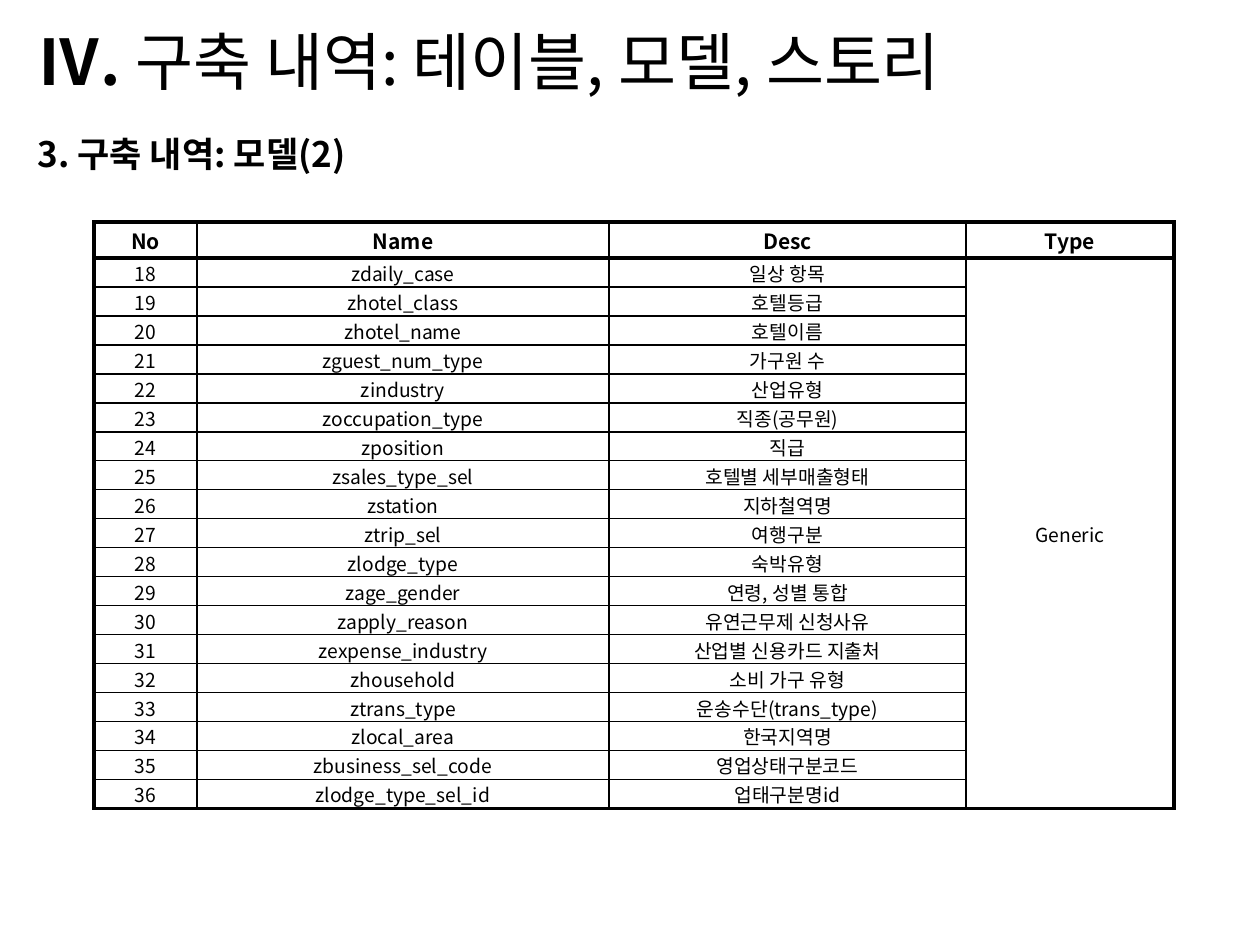
"""Build the model list slide with its title, heading and bordered table."""
from lxml.etree import SubElement as Sub
from pptx import Presentation
from pptx.dml.color import RGBColor
from pptx.enum.text import MSO_ANCHOR as Anchor, MSO_AUTO_SIZE as Fit, PP_ALIGN as Align
from pptx.oxml.ns import qn
from pptx.util import Pt

PX = 914400 / 126
FACE = "Noto Sans CJK KR"
INK = "000000"
THIN, THICK = 1, 2.25


def px(*nums):
    return [round(n * PX) for n in nums]


def write(para, text, size, bold):
    run = para.add_run()
    run.text = text
    look = {"size": Pt(size), "bold": bold, "name": FACE}
    for key, val in look.items():
        setattr(run.font, key, val)
    run.font.color.rgb = RGBColor.from_string(INK)
    Sub(run.font._element, qn("a:ea"), typeface=FACE)


deck = Presentation()
deck.slide_width, deck.slide_height = px(1260, 945)
slide = deck.slides.add_slide(deck.slide_layouts[5])

title = slide.shapes.title
title.left, title.top, title.width, title.height = px(25, 16, 1101, 89)
head = slide.shapes.add_textbox(*px(25, 126, 625, 55))
for box in (title, head):
    frame = box.text_frame
    form = {"word_wrap": True, "auto_size": Fit.NONE, "vertical_anchor": Anchor.TOP}
    for key, val in form.items():
        setattr(frame, key, val)
    frame.paragraphs[0].alignment = Align.LEFT
write(title.text_frame.paragraphs[0], "Ⅳ. ", 36, True)
write(title.text_frame.paragraphs[0], "구축 내역: 테이블, 모델, 스토리", 36, False)
write(head.text_frame.paragraphs[0], "3. 구축 내역: 모델(2)", 20, True)

models = [
    ("zdaily_case", "일상 항목"),
    ("zhotel_class", "호텔등급"),
    ("zhotel_name", "호텔이름"),
    ("zguest_num_type", "가구원 수"),
    ("zindustry", "산업유형"),
    ("zoccupation_type", "직종(공무원)"),
    ("zposition", "직급"),
    ("zsales_type_sel", "호텔별 세부매출형태"),
    ("zstation", "지하철역명"),
    ("ztrip_sel", "여행구분"),
    ("zlodge_type", "숙박유형"),
    ("zage_gender", "연령, 성별 통합"),
    ("zapply_reason", "유연근무제 신청사유"),
    ("zexpense_industry", "산업별 신용카드 지출처"),
    ("zhousehold", "소비 가구 유형"),
    ("ztrans_type", "운송수단(trans_type)"),
    ("zlocal_area", "한국지역명"),
    ("zbusiness_sel_code", "영업상태구분코드"),
    ("zlodge_type_sel_id", "업태구분명id"),
]
rows = [("No", "Name", "Desc", "Type")]
rows += [(str(no), *model, "Generic") for no, model in enumerate(models, 18)]
wide = [103, 412, 357, 208]
tall = [36] + [29] * len(models)
last = len(rows) - 1

table = slide.shapes.add_table(
    len(rows), len(wide), *px(94, 222, sum(wide), sum(tall))
).table
table.first_row = table.horz_banding = False
for col, width in zip(table.columns, px(*wide)):
    col.width = width
for row, height in zip(table.rows, px(*tall)):
    row.height = height
table.cell(1, 3).merge(table.cell(last, 3))

inset, = px(1)
form = {
    "margin_left": inset, "margin_right": inset, "margin_top": inset,
    "margin_bottom": 0, "vertical_anchor": Anchor.MIDDLE,
}
for r, texts in enumerate(rows):
    for c, text in enumerate(texts):
        cell = table.cell(r, c)
        if cell.is_spanned:
            continue
        for key, val in form.items():
            setattr(cell, key, val)
        para = cell.text_frame.paragraphs[0]
        para.alignment = Align.CENTER
        write(para, text, 11 if r else 12, r == 0)
        end = r + cell.span_height - 1 if cell.is_merge_origin else r
        edges = {"L": c == 0, "R": c == 3, "T": r < 2, "B": end in (0, last)}
        for side, bold in edges.items():
            line = Sub(cell._tc.get_or_add_tcPr(), qn(f"a:ln{side}"),
                       w=str(Pt(THICK if bold else THIN)))
            Sub(Sub(line, qn("a:solidFill")), qn("a:srgbClr"), val=INK)
        cell.fill.background()

deck.save("out.pptx")
